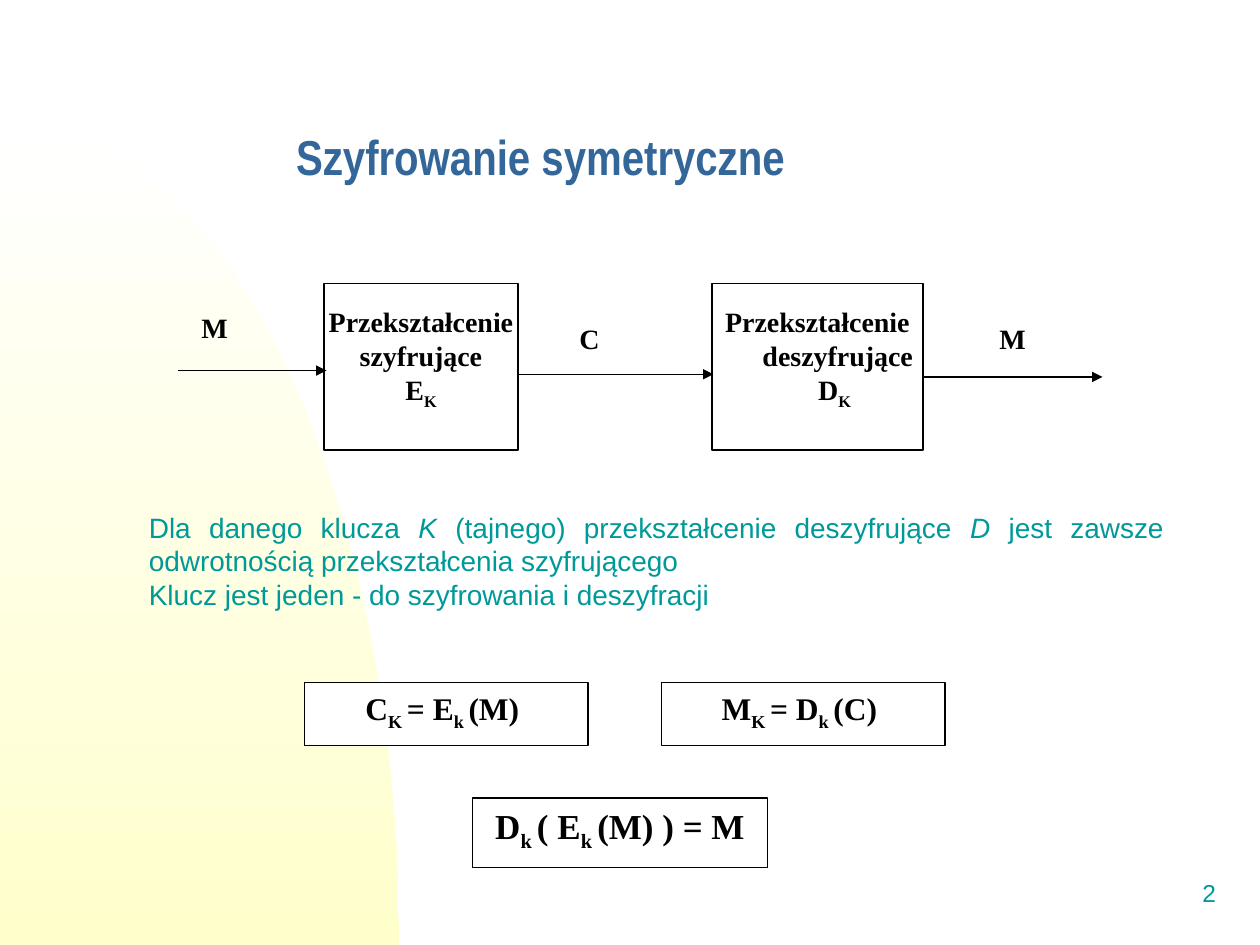
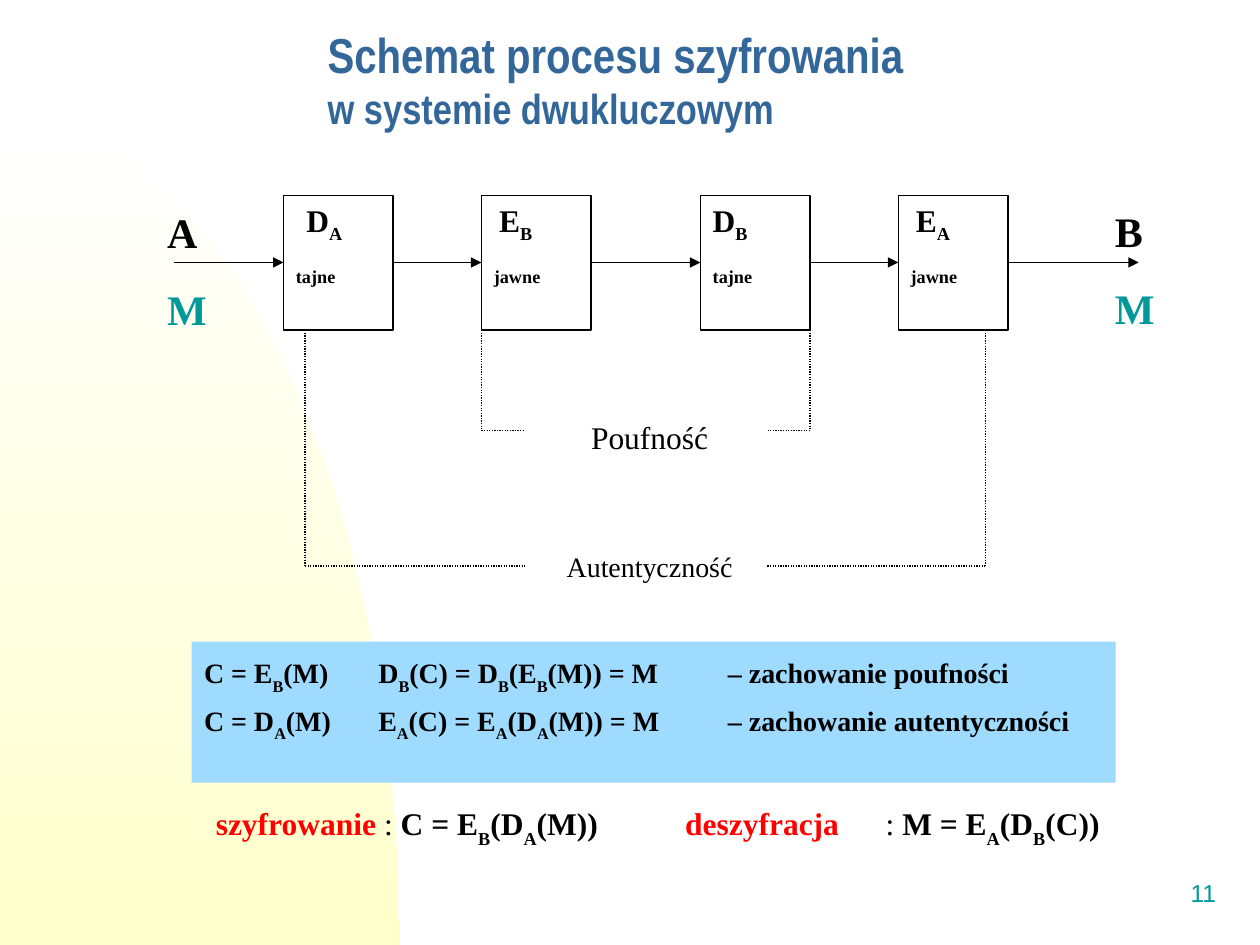
import math

import pptx
import pptx.dml.color
import pptx.enum.dml
import pptx.enum.shapes
import pptx.enum.text
import pptx.oxml
import pptx.oxml.ns
import pptx.util
from lxml import etree

COLORS = {
    "white": "FFFFFF",
    "cream": "FFFFCC",
    "title": "336699",
    "teal": "009999",
    "ink": "010000",
    "line": "000000",
    "panel": "9EDBFF",
    "red": "FF0000",
}
SERIF, SANS, NARROW = "Times New Roman", "Arial", "Arial Narrow"
COLS, ROWS = 120, 90  # twelve grid cells to the inch
INSETS = (1.2, 0.6, 1.2, 0.6)
ALIGN = pptx.enum.text.PP_ALIGN
ANCHOR = pptx.enum.text.MSO_ANCHOR
RECT = pptx.enum.shapes.MSO_SHAPE.RECTANGLE
STRAIGHT = pptx.enum.shapes.MSO_CONNECTOR.STRAIGHT


def grid(*cells):
    return [pptx.util.Emu(round(c * pptx.util.Inches(1) / 12)) for c in cells]


def rgb(name):
    return pptx.dml.color.RGBColor.from_string(COLORS[name])


def add_run(p, text, size, font=SERIF, color="ink", bold=True, italic=False, base=0):
    r = p.add_run()
    r.text = text
    r.font.name, r.font.size = font, pptx.util.Pt(size)
    r.font.bold, r.font.italic = bold, italic
    r.font.color.rgb = rgb(color)
    if base:
        r.font._element.set("baseline", str(base * 1000))


def add_formula(p, text, size, base=-25, **style):
    """Add text in which the parts between ~ signs are subscripts."""
    for i, part in enumerate(text.split("~")):
        if part:
            add_run(p, part, size, base=base * (i % 2), **style)


def set_frame(sp, insets=INSETS, anchor=ANCHOR.TOP):
    tf = sp.text_frame
    tf.word_wrap = True
    tf.auto_size = pptx.enum.text.MSO_AUTO_SIZE.NONE
    tf.vertical_anchor = anchor
    tf.margin_left, tf.margin_top, tf.margin_right, tf.margin_bottom = grid(*insets)
    return tf


def next_paragraph(tf, align=ALIGN.LEFT, indent=0, tabs=()):
    p = tf.paragraphs[0]
    if p.runs:
        p = tf.add_paragraph()
    p.alignment = align
    pPr = p._p.get_or_add_pPr()
    if indent:
        pPr.set("marL", str(grid(indent)[0]))
        pPr.set("indent", "0")
    if tabs:
        tab_list = etree.SubElement(pPr, pptx.oxml.ns.qn("a:tabLst"))
        for pos in grid(*tabs):
            etree.SubElement(tab_list, pptx.oxml.ns.qn("a:tab"), pos=str(pos), algn="l")
    return p


def add_text(s, box, insets=INSETS, anchor=ANCHOR.TOP):
    return set_frame(s.shapes.add_textbox(*grid(*box)), insets, anchor)


def add_box(s, box, insets=INSETS, fill="white", line=0.75):
    sp = s.shapes.add_shape(RECT, *grid(*box))
    sp.shadow.inherit = False
    sp.fill.solid()
    sp.fill.fore_color.rgb = rgb(fill)
    if line:
        sp.line.color.rgb = rgb("line")
        sp.line.width = pptx.util.Pt(line)
    else:
        sp.line.fill.background()
    return set_frame(sp, insets)


def add_line(s, x1, y1, x2, y2, arrow=False):
    """Add a solid arrow, or a dotted line without a head."""
    c = s.shapes.add_connector(STRAIGHT, *grid(x1, y1, x2, y2))
    c.line.color.rgb = rgb("line")
    c.line.width = pptx.util.Pt(0.75)
    if arrow:
        etree.SubElement(c.line._get_or_add_ln(), pptx.oxml.ns.qn("a:tailEnd"), type="triangle")
    else:
        c.line.dash_style = pptx.enum.dml.MSO_LINE.ROUND_DOT
    etree.SubElement(c._element.spPr, pptx.oxml.ns.qn("a:effectLst"))


def add_backdrop(s, rx=38, ry=79, steps=60):
    """Add the quarter ellipse in the lower left corner."""
    angles = [math.pi / 2 * i / steps for i in range(steps + 1)]
    points = [grid(rx * math.sin(a), ROWS - ry * math.cos(a)) for a in angles]
    builder = s.shapes.build_freeform(*points[0])
    builder.add_line_segments(points[1:] + [grid(0, ROWS)])
    sp = builder.convert_to_shape()
    sp.shadow.inherit = False
    sp.line.fill.background()
    sp.fill.gradient()
    sp.fill.gradient_angle = 270
    for stop, name, pos in zip(sp.fill.gradient_stops, ("white", "cream"), (0, 1)):
        stop.color.rgb = rgb(name)
        stop.position = pos


def new_slide(prs, number, title_box, title_lines, spacing=1.0):
    s = prs.slides.add_slide(prs.slide_layouts[5])
    add_backdrop(s)
    title = s.shapes.title
    title.left, title.top, title.width, title.height = grid(*title_box)
    p = next_paragraph(set_frame(title, anchor=ANCHOR.MIDDLE))
    p.line_spacing = spacing
    for i, (text, size) in enumerate(title_lines):
        if i:
            p.add_line_break()
        add_run(p, text, size, NARROW, "title")
    p = next_paragraph(add_text(s, (92, 82, 25, 6), anchor=ANCHOR.MIDDLE), ALIGN.RIGHT)
    add_run(p, number, 14, SANS, "teal", bold=False)
    return s


def symmetric_slide(prs):
    s = new_slide(prs, "2", (27, 8, 90, 15), [("Szyfrowanie symetryczne", 28)], 0.7)

    transforms = [
        (30.85, 18.5, [("Przekształcenie", 0), ("szyfrujące", 0), ("E~K", 0)]),
        (67.8, 20.1, [("Przekształcenie", 0), ("deszyfrujące", 4.7), ("D~K", 10)]),
    ]
    for x, width, lines in transforms:
        tf = add_box(s, (x, 27, width, 15.85), (0.12, 2.04, 0.12, 0.12), line=1)
        for text, indent in lines:
            align = ALIGN.LEFT if indent else ALIGN.CENTER
            add_formula(next_paragraph(tf, align, indent), text, 16)

    for x1, x2, y in ((17, 31.1, 35.3), (49.35, 67.95, 35.65), (87.95, 105, 35.9)):
        add_line(s, x1, y, x2, y, arrow=True)
    for text, x, y in (("M", 18, 29), ("C", 54, 30), ("M", 94, 30)):
        add_run(next_paragraph(add_text(s, (x, y, 7, 4.45))), text, 16)

    tf = add_text(s, (13, 48, 99, 10.8))
    p = next_paragraph(tf, ALIGN.JUSTIFY)
    sentence = [
        "Dla danego klucza ", "K ", "(tajnego) przekształcenie deszyfrujące ", "D",
        " jest zawsze odwrotnością przekształcenia szyfrującego",
    ]
    for i, text in enumerate(sentence):
        add_run(p, text, 16, SANS, "teal", bold=False, italic=i % 2 == 1)
    add_run(next_paragraph(tf, ALIGN.JUSTIFY),
            "Klucz jest jeden - do szyfrowania i deszyfracji", 16, SANS, "teal", bold=False)

    equations = [
        ((29, 65, 27, 6), "C~K ~= E~k ~(M) ", 18),
        ((63, 65, 27, 6), "M~K ~= D~k ~(C) ", 18),
        ((45, 76, 28.1, 6.6), "D~k ~( E~k ~(M) ) = M", 20),
    ]
    for box, text, size in equations:
        add_formula(next_paragraph(add_box(s, box), ALIGN.CENTER), text, size)


def two_key_slide(prs):
    s = new_slide(prs, "11", (30, 0, 90, 15),
                  [("Schemat procesu szyfrowania", 28), ("w systemie dwukluczowym", 24)])

    key_width, key_top, key_height, flow_y = 10.45, 18.6, 12.85, 25
    key_bottom = key_top + key_height
    keys = [
        (27, "D~A", "tajne", 1),
        (45.85, "E~B", "jawne", 0.5),
        (66.7, "D~B", "tajne", 0),
        (85.55, "E~A", "jawne", 0.5),
    ]

    labels = [("Poufność", 18, 39.25, 41, 45.85, 77.15),
              ("Autentyczność", 16, 51.7, 53.9, 29.05, 93.85)]
    for text, size, top, y, left, right in labels:
        tf = add_box(s, (52.1, top, 19.55, 5.9), line=0)
        add_run(next_paragraph(tf, ALIGN.CENTER), text, size, bold=False)
        for outer, inner in ((left, 49.95), (right, 73)):
            add_line(s, outer, key_bottom, outer, y)
            add_line(s, outer, y, inner, y)

    for x, name, kind, indent in keys:
        tf = add_box(s, (x, key_top, key_width, key_height))
        add_formula(next_paragraph(tf, indent=indent), name, 18)
        add_run(next_paragraph(tf), kind, 18, base=-25)
    starts = [16.55] + [x + key_width for x, *_ in keys]
    ends = [x for x, *_ in keys] + [108.45]
    for x1, x2 in zip(starts, ends):
        add_line(s, x1, flow_y, x2, flow_y, arrow=True)

    for x, y, party in ((14.75, 19.1, "A"), (105, 19, "B")):
        tf = add_text(s, (x, y, 7, 13.3))
        add_run(next_paragraph(tf), party, 24)
        p = next_paragraph(tf)
        p.space_before = pptx.util.Pt(15)
        add_run(p, "M", 24, color="teal")

    tf = add_box(s, (18.25, 61.1, 88, 13.45), fill="panel", line=0)
    for text in ("C = E~B~(M)\tD~B~(C) = D~B~(E~B~(M)) = M\t– zachowanie poufności",
                 "C = D~A~(M)\tE~A~(C) = E~A~(D~A~(M)) = M\t– zachowanie autentyczności"):
        p = next_paragraph(tf, tabs=(16.6, 49.9))
        p.line_spacing = 1.2
        add_formula(p, text, 16, base=-30)

    tf = add_text(s, (16.7, 76, 92, 9.1), (3.85, 0.6, 0.6, 0.6))
    p = next_paragraph(tf, tabs=(44.7, 63.8))
    for word, colon, formula in (("szyfrowanie ", ": ", "C = E~B~(D~A~(M))\t"),
                                 ("deszyfracja", "\t: ", "M = E~A~(D~B~(C))")):
        add_run(p, word, 18, color="red")
        add_run(p, colon, 18, bold=False)
        add_formula(p, formula, 18, base=-30)


def main():
    prs = pptx.Presentation()
    prs.slide_width, prs.slide_height = grid(COLS, ROWS)
    symmetric_slide(prs)
    two_key_slide(prs)
    prs.save("out.pptx")


if __name__ == "__main__":
    main()
